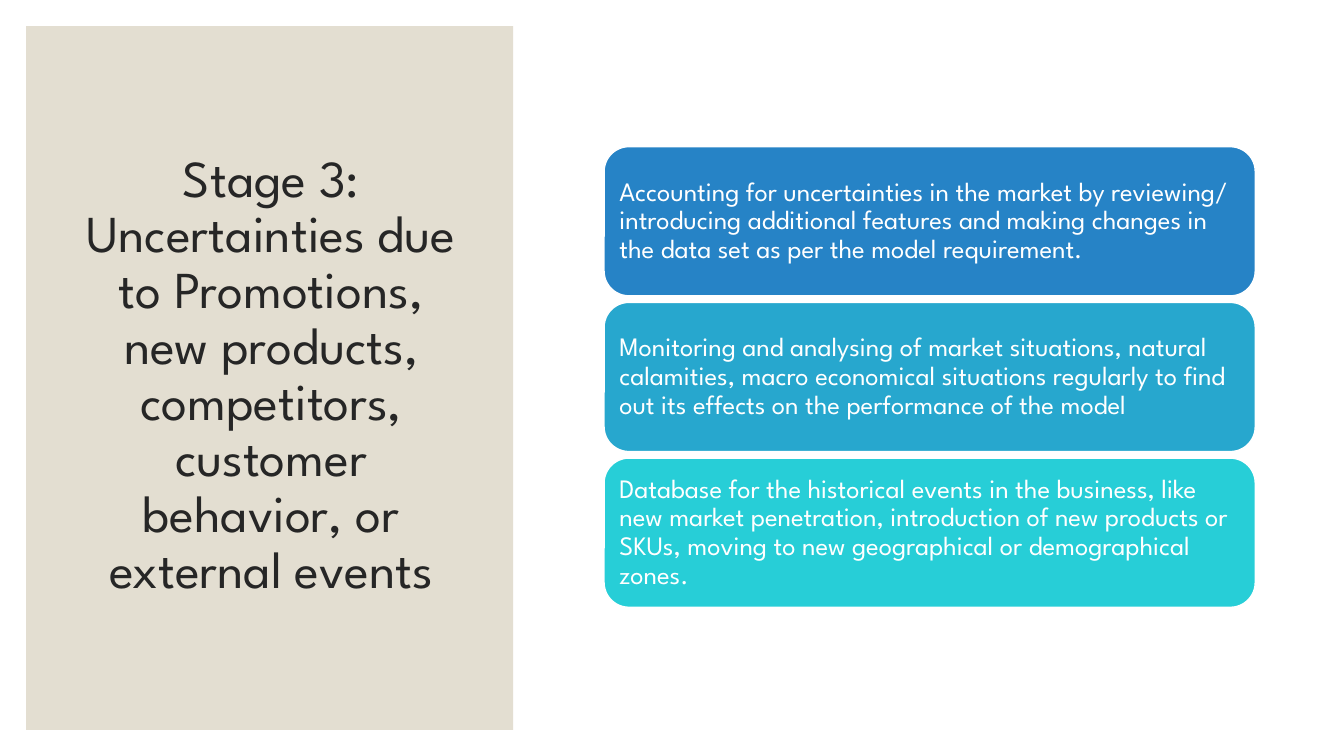
"""Build the Stage 3 uncertainties slide: a title panel beside three stacked cards."""
import pptx
import pptx.dml.color
import pptx.enum.shapes
import pptx.enum.text
import pptx.util

TITLE = ("Stage 3: Uncertainties due to Promotions, new products, competitors, "
         "customer behavior, or external events")
CARDS = [
    ("2683C6", "Accounting for uncertainties in the market by reviewing/ introducing "
               "additional features and making changes in the data set as per the model requirement."),
    ("27A7CE", "Monitoring and analysing of market situations, natural calamities, macro "
               "economical situations regularly to find out its effects on the performance of the model"),
    ("27CED7", "Database for the historical events in the business, like new market penetration, "
               "introduction of new products or SKUs, moving to new geographical or demographical zones."),
]
FONT = "League Spartan"
WIDTH, HEIGHT = pptx.util.Inches(13.33), pptx.util.Inches(7.5)
PANEL_AREA = (1.95, 3.47, 36.23, 93.07)
TITLE_AREA = (4.73, 8.13, 30.9, 83.2)
CARD_LEFT, CARD_TOP, CARD_WIDTH, CARD_HEIGHT, CARD_GAP = 44.95, 19.4, 48.45, 19.73, 0.87


def color(code):
    """Turn a hex string into a colour."""
    return pptx.dml.color.RGBColor.from_string(code)


def place(area):
    """Turn percentages of the slide into left, top, width and height."""
    return [round(share * size / 100) for share, size in zip(area, (WIDTH, HEIGHT) * 2)]


def add_box(slide, kind, area, fill):
    """Add a flat filled shape without an outline."""
    box = slide.shapes.add_shape(kind, *place(area))
    box.shadow.inherit = False
    box.fill.solid()
    box.fill.fore_color.rgb = color(fill)
    box.line.fill.background()
    return box


def write(box, text, size, ink, align, inset):
    """Write one vertically centred paragraph into a shape."""
    frame = box.text_frame
    frame.text = text
    frame.word_wrap = True
    frame.auto_size = pptx.enum.text.MSO_AUTO_SIZE.NONE
    frame.vertical_anchor = pptx.enum.text.MSO_ANCHOR.MIDDLE
    frame.margin_left = frame.margin_right = pptx.util.Inches(inset)
    frame.margin_top = frame.margin_bottom = pptx.util.Inches(inset / 2)
    para = frame.paragraphs[0]
    para.alignment = align
    para.line_spacing = 0.9
    para.font.name = FONT
    para.font.size = pptx.util.Pt(size)
    para.font.color.rgb = color(ink)


def main():
    """Assemble and save the deck."""
    shapes = pptx.enum.shapes.MSO_SHAPE
    align = pptx.enum.text.PP_ALIGN
    deck = pptx.Presentation()
    deck.slide_width, deck.slide_height = WIDTH, HEIGHT
    slide = deck.slides.add_slide(deck.slide_layouts[5])

    title = slide.shapes.title
    title.left, title.top, title.width, title.height = place(TITLE_AREA)
    write(title, TITLE, 37, "262626", align.CENTER, 0.1)
    panel = add_box(slide, shapes.RECTANGLE, PANEL_AREA, "E3DED1")
    title.element.addprevious(panel.element)

    for row, (fill, text) in enumerate(CARDS):
        top = CARD_TOP + row * (CARD_HEIGHT + CARD_GAP)
        card = add_box(slide, shapes.ROUNDED_RECTANGLE,
                       (CARD_LEFT, top, CARD_WIDTH, CARD_HEIGHT), fill)
        card.line.color.rgb = color("FFFFFF")
        card.line.width = pptx.util.Pt(1)
        write(card, text, 19, "FFFFFF", align.LEFT, 0.08)

    deck.save("out.pptx")


if __name__ == "__main__":
    main()
